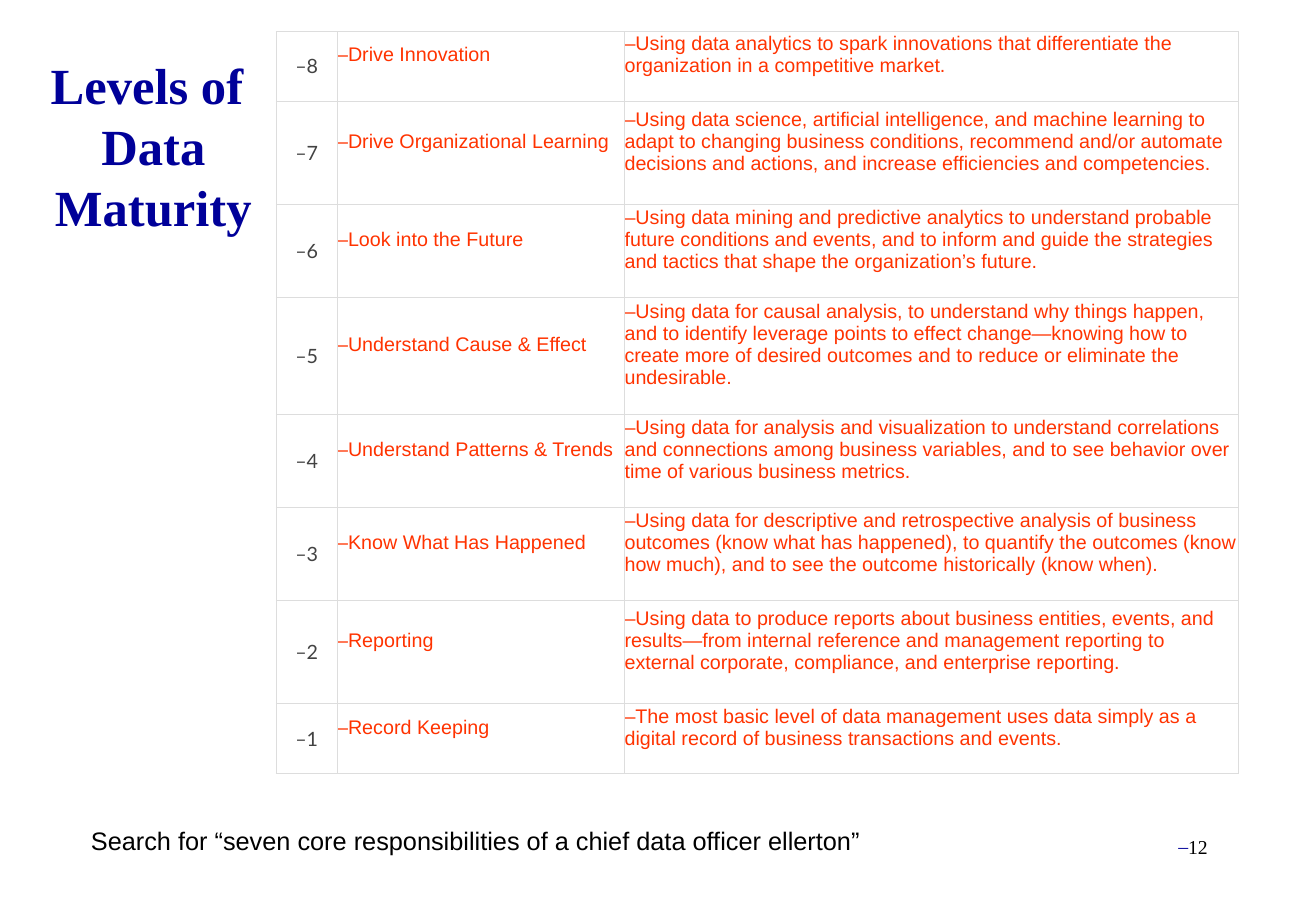
"""Build the Levels of Data Maturity slide."""
from dataclasses import dataclass

from lxml import etree
from pptx import Presentation
from pptx.dml.color import RGBColor
from pptx.enum.text import MSO_ANCHOR, MSO_AUTO_SIZE, PP_ALIGN
from pptx.oxml.ns import qn
from pptx.util import Inches, Pt

LEFT, CENTER, RIGHT = PP_ALIGN.LEFT, PP_ALIGN.CENTER, PP_ALIGN.RIGHT
TOP, MIDDLE = MSO_ANCHOR.TOP, MSO_ANCHOR.MIDDLE
NO_AUTOFIT = MSO_AUTO_SIZE.NONE

TITLE = "Levels of \vData Maturity"
FOOTNOTE = "Search for “seven core responsibilities of a chief data officer ellerton”"
PAGE = "12"
LEVELS = [
    ("8", "Drive Innovation",
     "Using data analytics to spark innovations that differentiate the "
     "organization in a competitive market."),
    ("7", "Drive Organizational Learning",
     "Using data science, artificial intelligence, and machine learning to adapt to "
     "changing business conditions, recommend and/or automate decisions and actions, "
     "and increase efficiencies and competencies."),
    ("6", "Look into the Future",
     "Using data mining and predictive analytics to understand probable future "
     "conditions and events, and to inform and guide the strategies and tactics that "
     "shape the organization’s future."),
    ("5", "Understand Cause & Effect",
     "Using data for causal analysis, to understand why things happen, and to identify "
     "leverage points to effect change—knowing how to create more of desired outcomes "
     "and to reduce or eliminate the undesirable."),
    ("4", "Understand Patterns & Trends",
     "Using data for analysis and visualization to understand correlations and "
     "connections among business variables, and to see behavior over time of various "
     "business metrics."),
    ("3", "Know What Has Happened",
     "Using data for descriptive and retrospective analysis of business outcomes (know "
     "what has happened), to quantify the outcomes (know how much), and to see the "
     "outcome historically (know when)."),
    ("2", "Reporting",
     "Using data to produce reports about business entities, events, and results—from "
     "internal reference and management reporting to external corporate, compliance, "
     "and enterprise reporting."),
    ("1", "Record Keeping",
     "The most basic level of data management uses data simply as a digital record of "
     "business transactions and events."),
]
COL_WIDTHS = (0.6, 2.84, 6.06)
ROW_HEIGHTS = (0.66, 1.02, 0.9, 1.1, 0.87, 0.91, 1.02, 0.66)
TITLE_BOX = (0.3, 0.31, 2.43, 2.25)
PAGE_BOX = (9.32, 8.2, 2.71, 0.6)
FOOTNOTE_BOX = (0.8, 8.1, 11.4, 0.4)
TABLE_AT = (2.73, 0.31)


@dataclass(frozen=True)
class Theme:
    """Colours, fonts and type sizes."""
    navy: str = "000099"
    red: str = "FF3300"
    gray: str = "424242"
    black: str = "000000"
    white: str = "FFFFFF"
    rule: str = "DDDDDD"
    serif: str = "Times New Roman"
    sans: str = "Arial"
    digit: str = "Lato"
    title: int = 36
    note: int = 18
    body: int = 14
    border: float = 0.6


T = Theme()


def write(tf, text, *, font=T.sans, size=T.body, color=T.black, bold=False,
          align=LEFT, anchor=TOP, dash=None):
    """Write one formatted paragraph, with a dash bullet in the given colour."""
    tf.word_wrap = True
    tf.vertical_anchor = anchor
    p = tf.paragraphs[0]
    p.text = text
    p.alignment = align
    for r in p.runs:
        r.font.name, r.font.size, r.font.bold = font, Pt(size), bold
        r.font.color.rgb = RGBColor.from_string(color)
    if dash:
        pPr = p._p.get_or_add_pPr()
        pPr.set("marL", "0")
        pPr.set("indent", "0")
        clr = etree.SubElement(pPr, qn("a:buClr"))
        etree.SubElement(clr, qn("a:srgbClr"), val=dash)
        etree.SubElement(pPr, qn("a:buFont"), typeface=font)
        etree.SubElement(pPr, qn("a:buChar"), char="–")


def style_cell(cell, bottom):
    """Give a cell its margins, white fill and thin rules."""
    cell.margin_left = cell.margin_right = cell.margin_top = 0
    cell.margin_bottom = Inches(bottom)
    cell.vertical_anchor = MIDDLE
    tcPr = cell._tc.get_or_add_tcPr()
    for side in ("lnL", "lnR", "lnT", "lnB"):
        ln = etree.SubElement(tcPr, qn(f"a:{side}"), w=str(int(Pt(T.border))))
        fill = etree.SubElement(ln, qn("a:solidFill"))
        etree.SubElement(fill, qn("a:srgbClr"), val=T.rule)
    cell.fill.solid()
    cell.fill.fore_color.rgb = RGBColor.from_string(T.white)


def add_levels(slide):
    """Add the table of maturity levels."""
    size = (sum(COL_WIDTHS), sum(ROW_HEIGHTS))
    frame = slide.shapes.add_table(len(LEVELS), len(COL_WIDTHS),
                                   *map(Inches, TABLE_AT + size))
    table = frame.table
    table.first_row = table.horz_banding = False
    for col, width in zip(table.columns, COL_WIDTHS):
        col.width = Inches(width)
    number = dict(font=T.digit, color=T.gray, align=CENTER, dash=T.gray)
    wording = dict(color=T.red, dash=T.red)
    for row, height, level in zip(table.rows, ROW_HEIGHTS, LEVELS):
        row.height = Inches(height)
        for i, (cell, text) in enumerate(zip(row.cells, level)):
            write(cell.text_frame, text, **(wording if i else number))
            style_cell(cell, 0.22 if i else 0)


def main():
    """Compose and save the slide."""
    prs = Presentation()
    prs.slide_width, prs.slide_height = Inches(13), Inches(9)
    slide = prs.slides.add_slide(prs.slide_layouts[5])
    title = slide.shapes.title
    title.left, title.top, title.width, title.height = map(Inches, TITLE_BOX)
    title.text_frame.auto_size = NO_AUTOFIT
    write(title.text_frame, TITLE, font=T.serif, size=T.title, color=T.navy,
          bold=True, align=CENTER, anchor=MIDDLE)
    page = slide.shapes.add_textbox(*map(Inches, PAGE_BOX))
    write(page.text_frame, PAGE, font=T.serif, align=RIGHT, dash=T.navy)
    add_levels(slide)
    note = slide.shapes.add_textbox(*map(Inches, FOOTNOTE_BOX))
    write(note.text_frame, FOOTNOTE, size=T.note)
    prs.save("out.pptx")


if __name__ == "__main__":
    main()
